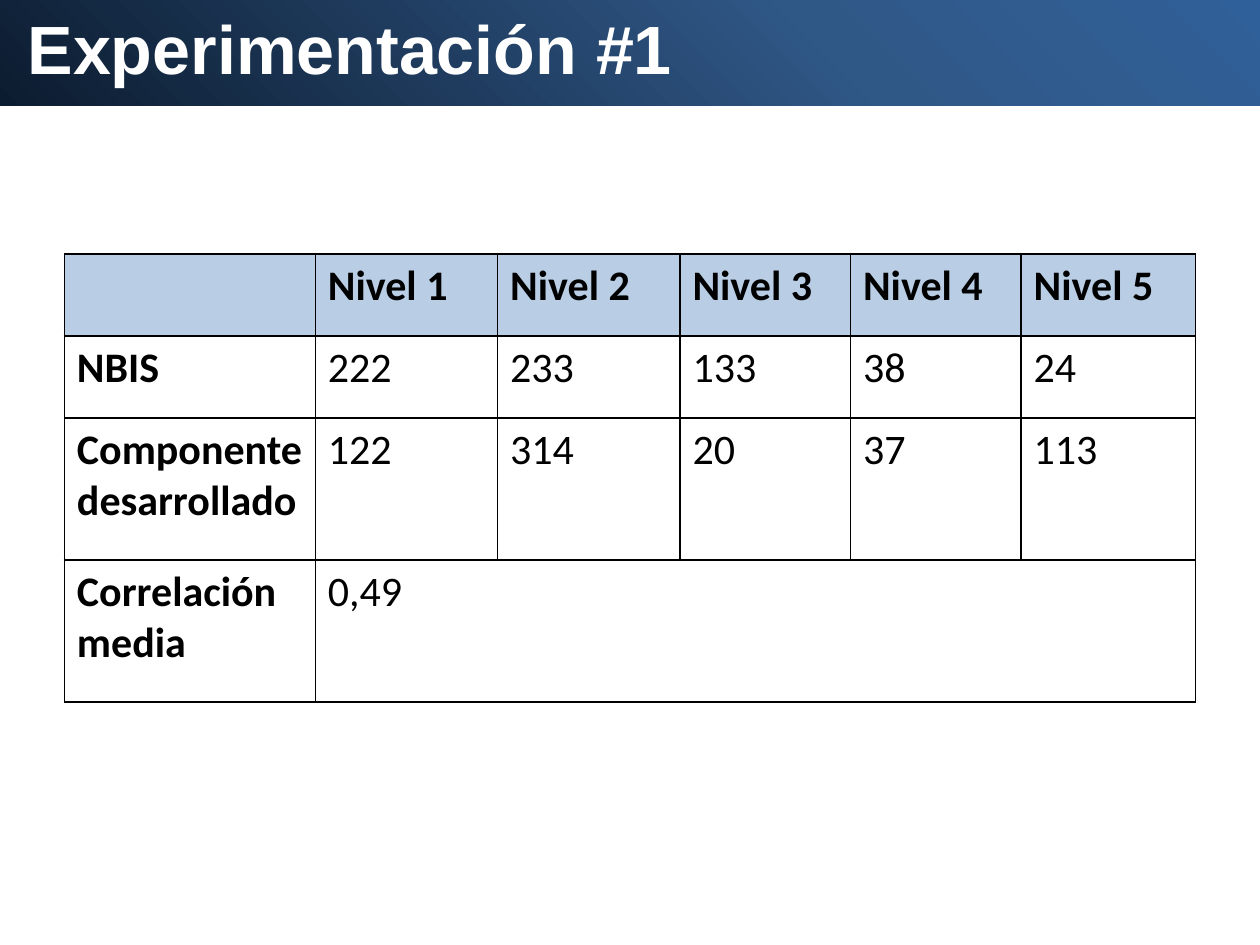
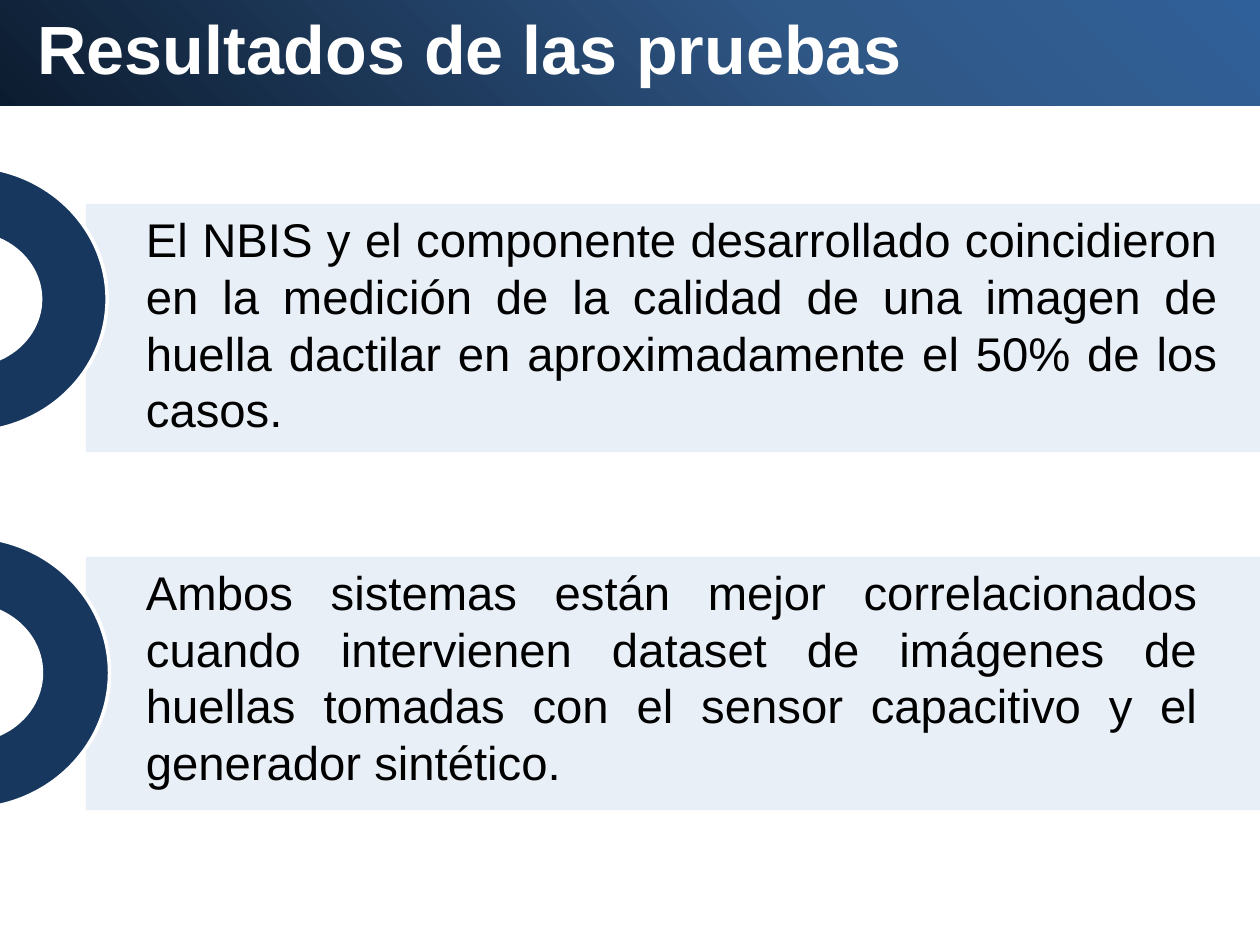
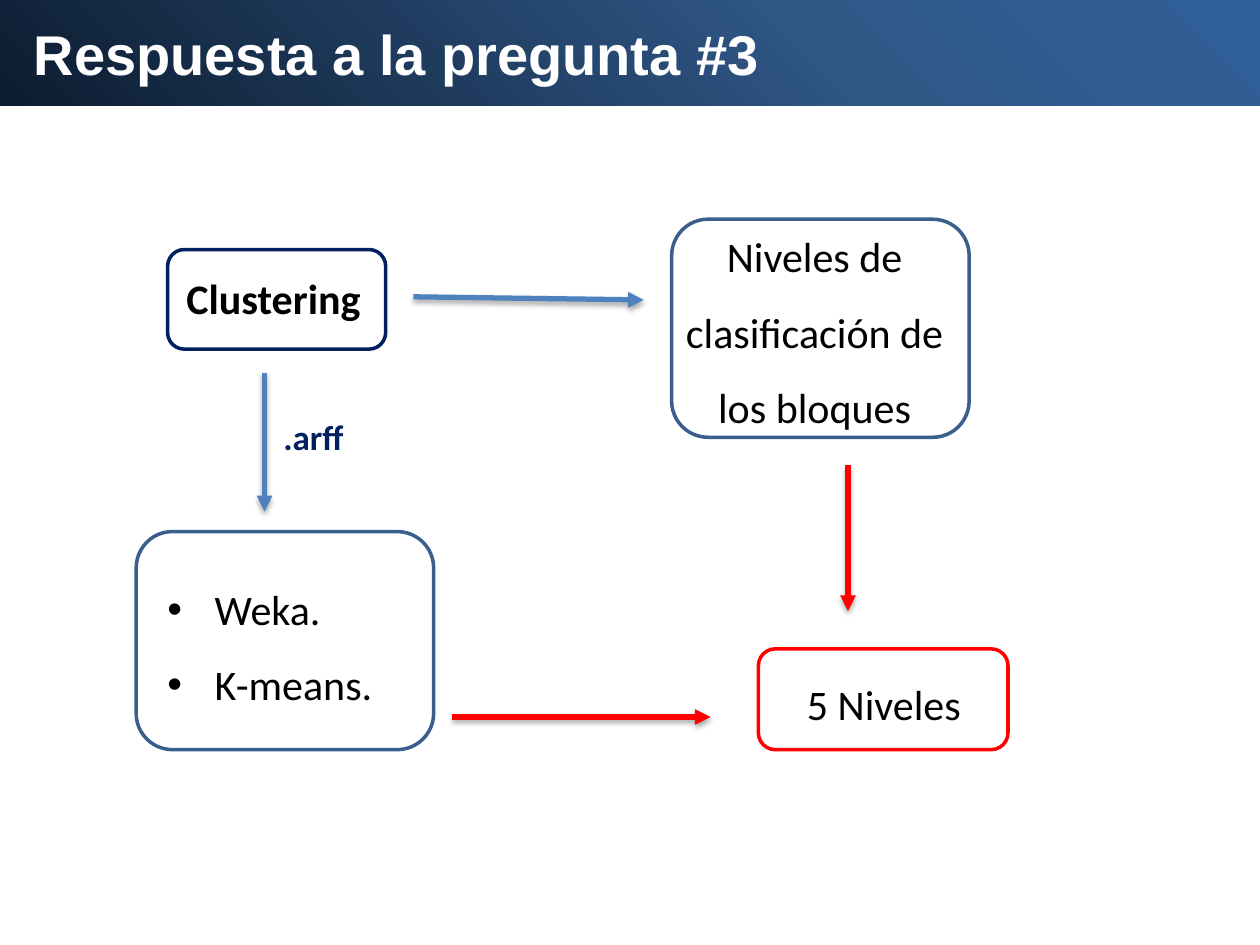
"""Builds three slides on fingerprint quality tests."""
from dataclasses import dataclass
from pptx import Presentation
from pptx.dml.color import RGBColor as Rgb
from pptx.enum.shapes import MSO_CONNECTOR as Link, MSO_SHAPE as Kind
from pptx.enum.text import MSO_AUTO_SIZE as Fit, PP_ALIGN as Align
from pptx.oxml import parse_xml
from pptx.oxml.ns import nsdecls, qn
from pptx.util import Pt


@dataclass(frozen=True)
class Theme:
    head: str = "Arial"
    body: str = "Calibri"
    white: str = "FFFFFF"
    black: str = "000000"
    pale: str = "DCE6F2"
    sky: str = "B9CDE5"
    deep: str = "17375E"
    navy: str = "002060"
    steel: str = "3A5F8C"
    blue: str = "4F81BD"
    red: str = "FF0000"
    fade: tuple = ((0, "0C1C30"), (65, "305887"), (100, "306099"))
    title: int = 39
    short: int = 32
    large: int = 27
    main: int = 24
    small: int = 20


def make(tag, inner="", attrs=""):
    return parse_xml(f'<a:{tag} {nsdecls("a")} {attrs}>{inner}</a:{tag}>')


def tint(color):
    return f'<a:srgbClr val="{color}"/>'


class Deck:
    def __init__(self, theme):
        self.theme = theme
        self.file = Presentation()
        self.file.slide_width, self.file.slide_height = Pt(720), Pt(540)
        self.slide = None

    def page(self, title, left, top=0, size=None):
        self.slide = self.file.slides.add_slide(self.file.slide_layouts[6])
        band = self.shape(Kind.RECTANGLE, (0, -5.8, 720, 66.2))
        stops = "".join(f'<a:gs pos="{at * 1000}">{tint(color)}</a:gs>'
                        for at, color in self.theme.fade)
        route = ('<a:path path="circle">'
                 '<a:fillToRect t="100000" r="100000"/></a:path>')
        props = band._element.spPr
        props.replace(props.find(qn("a:noFill")),
                      make("gradFill", f"<a:gsLst>{stops}</a:gsLst>{route}"))
        self.text((left, top, 521, 54.7), [title], size or self.theme.title,
                  self.theme.head, self.theme.white, bold=True)

    def shape(self, kind, box, fill=None, line=None, alpha=None):
        shape = self.slide.shapes.add_shape(kind, *map(Pt, box))
        shape.shadow.inherit = False
        if fill:
            shape.fill.solid()
            shape.fill.fore_color.rgb = Rgb.from_string(fill)
        else:
            shape.fill.background()
        if line:
            shape.line.color.rgb = Rgb.from_string(line)
            shape.line.width = Pt(2)
        else:
            shape.line.fill.background()
        if alpha:
            color = shape._element.spPr.find(qn("a:solidFill"))[0]
            color.append(make("alpha", attrs=f'val="{alpha * 1000}"'))
        return shape

    def style(self, para, size, face, color, bold=False):
        for run in para.runs:
            run.font.size, run.font.name, run.font.bold = Pt(size), face, bold
            run.font.color.rgb = Rgb.from_string(color)

    def text(self, box, lines, size=None, face=None, color=None, bold=False,
             align=Align.LEFT, space=1, bullet=False):
        frame = self.slide.shapes.add_textbox(*map(Pt, box)).text_frame
        frame.word_wrap = True
        frame.auto_size = Fit.SHAPE_TO_FIT_TEXT
        frame.text = "\n".join(lines)
        for para in frame.paragraphs:
            para.alignment, para.line_spacing = align, space
            if bullet:
                props = para._p.get_or_add_pPr()
                props.set("marL", str(Pt(27)))
                props.set("indent", str(-Pt(27)))
                props.append(make("buFont", attrs='typeface="Arial"'))
                props.append(make("buChar", attrs='char="•"'))
            self.style(para, size or self.theme.main, face or self.theme.body,
                       color or self.theme.black, bold)

    def arrow(self, start, end, color):
        line = self.slide.shapes.add_connector(
            Link.STRAIGHT, *map(Pt, start + end))
        line.line.color.rgb = Rgb.from_string(color)
        line.line.width = Pt(3)
        line.line._get_or_add_ln().append(
            make("tailEnd", attrs='type="triangle"'))
        shade = (f'<a:outerShdw blurRad="{Pt(3.1)}" dist="{Pt(1.8)}" '
                 'dir="5400000" rotWithShape="0"><a:srgbClr val="000000">'
                 '<a:alpha val="35000"/></a:srgbClr></a:outerShdw>')
        line._element.spPr.append(make("effectLst", shade))

    def table(self, left, top, wide, high, rows):
        grid = self.slide.shapes.add_table(
            len(high), len(wide), Pt(left), Pt(top),
            Pt(sum(wide)), Pt(sum(high))).table
        for col, width in zip(grid.columns, wide):
            col.width = Pt(width)
        for row, height in zip(grid.rows, high):
            row.height = Pt(height)
        for r, row in enumerate(rows):
            for c in range(len(wide)):
                cell = grid.cell(r, c)
                self.edge(cell)
                if r == 0:
                    cell.fill.solid()
                    cell.fill.fore_color.rgb = Rgb.from_string(self.theme.sky)
                else:
                    cell.fill.background()
                if c < len(row):
                    cell.text_frame.text = row[c]
                    self.style(cell.text_frame.paragraphs[0], self.theme.main,
                               self.theme.body, self.theme.black,
                               r == 0 or c == 0)
            if len(row) < len(wide):
                grid.cell(r, len(row) - 1).merge(grid.cell(r, len(wide) - 1))

    def edge(self, cell):
        props = cell._tc.get_or_add_tcPr()
        ink = f"<a:solidFill>{tint(self.theme.black)}</a:solidFill>"
        for side in "LRTB":
            props.append(make("ln" + side, ink, f'w="{Pt(1)}"'))


def trial(deck):
    deck.page("Experimentación #1", 8.7)
    deck.table(36.8, 145.2, (143.4, 104.2, 104.2, 97.5, 97.5, 99.8),
               (46.8, 46.8, 81.2, 81.2), (
        [""] + [f"Nivel {n}" for n in range(1, 6)],
        ["NBIS", "222", "233", "133", "38", "24"],
        ["Componente desarrollado", "122", "314", "20", "37", "113"],
        ["Correlación media", "0,49"]))


def result(deck):
    theme = deck.theme
    deck.page("Resultados de las pruebas", 14.4)
    for top, high in ((318.2, 144.7), (116.6, 141.8)):
        deck.shape(Kind.RECTANGLE, (49, top, 696, high), theme.pale, alpha=61)
    for top, wide, high in ((95, 160.6, 152), (306.7, 162, 155.5)):
        deck.shape(Kind.DONUT, (-99.4, top, wide, high),
                   theme.deep, theme.white)
    for top, wide, words in (
        (116.6, 626.4, "El NBIS y el componente desarrollado coincidieron en "
         "la medición de la calidad de una imagen de huella dactilar en "
         "aproximadamente el 50% de los casos."),
        (318.2, 614.9, "Ambos sistemas están mejor correlacionados cuando "
         "intervienen dataset de imágenes de huellas tomadas con el sensor "
         "capacitivo y el generador sintético."),
    ):
        deck.text((76.3, top, wide, 138.2), [words], theme.large, theme.head,
                  align=Align.JUSTIFY)


def answer(deck):
    theme = deck.theme
    deck.page("Respuesta a la pregunta #3", 12.2, 7.9, theme.short)
    for box, line in (
        ((95.8, 142.6, 124.6, 56.9), theme.navy),
        ((77.8, 303.8, 170, 124.6), theme.steel),
        ((383.8, 125.3, 170, 124.6), theme.steel),
        ((433.4, 370.8, 142.6, 57.6), theme.red),
    ):
        deck.shape(Kind.ROUNDED_RECTANGLE, box, line=line)
    deck.text((99.4, 151.9, 130.3, 36), ["Clustering"], bold=True)
    deck.text((88.6, 315.4, 170, 94.3), ["Weka.", "K-means."],
              space=1.5, bullet=True)
    deck.text((383.8, 113.8, 163.4, 138.2),
              ["Niveles de clasificación de los bloques"],
              align=Align.CENTER, space=1.5)
    deck.text((154.8, 234, 65.5, 31.7), [".arff"], theme.small,
              color=theme.navy, bold=True)
    deck.text((423.4, 370, 163.4, 46), ["5 Niveles"],
              align=Align.CENTER, space=1.5)
    for start, end, color in (
        ((151.2, 213.1), (151.2, 292.3), theme.blue),
        ((236.2, 169.6), (367.9, 171.4), theme.blue),
        ((258.5, 409.7), (406.1, 409.7), theme.red),
        ((484.6, 265.7), (484.6, 349.2), theme.red),
    ):
        deck.arrow(start, end, color)


def main():
    deck = Deck(Theme())
    for build in (trial, result, answer):
        build(deck)
    deck.file.save("out.pptx")


if __name__ == "__main__":
    main()
